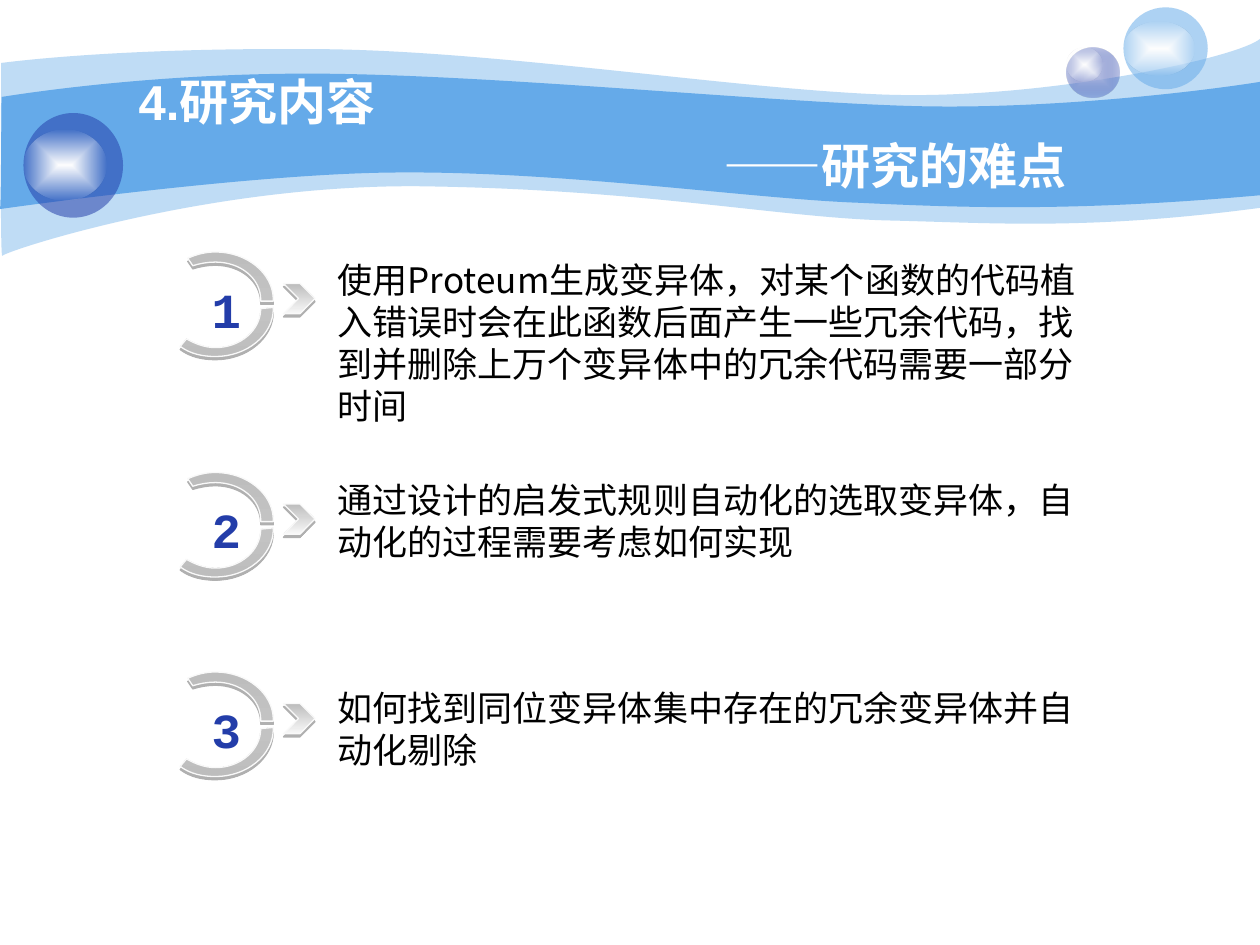
from lxml import etree
from pptx import Presentation
from pptx.dml.color import RGBColor
from pptx.enum.shapes import MSO_SHAPE
from pptx.enum.text import MSO_ANCHOR, MSO_AUTO_SIZE, PP_ALIGN
from pptx.oxml.ns import qn
from pptx.util import Pt

OVAL = MSO_SHAPE.OVAL
LEFT = PP_ALIGN.LEFT
TOP, MIDDLE = MSO_ANCHOR.TOP, MSO_ANCHOR.MIDDLE
NO_FIT = MSO_AUTO_SIZE.NONE
CJK = "Noto Sans CJK SC"

PALE_BAND = [
    (0.7, 36),
    (18, 33.8, 77.8, 27.4, 177.8, 28.1),
    (277.9, 28.1, 414.7, 50.4, 503.3, 54),
    (591.8, 57.6, 705.6, 33.8, 720, 22.3),
    (720, 118.8),
    (622.1, 131.8, 567.4, 127.4, 507.6, 126),
    (447.8, 124.6, 370.8, 108.7, 247.7, 106.6),
    (123.8, 103.7, 3.6, 143.3, 1.4, 146.2),
    (0, 149.8, 0.7, 54, 0.7, 36),
]
DEEP_BAND = [
    (1, 55.4),
    (2.2, 55.4, 79.9, 41.8, 179.3, 42.1),
    (278.6, 42.5, 429.1, 57.6, 517.3, 60.5),
    (605.5, 63.4, 702.7, 49.7, 720, 46.8),
    (720, 111.6),
    (614.2, 121, 551.5, 118.8, 491, 115.9),
    (431.3, 113.8, 322.6, 97.9, 229, 98.6),
    (146.9, 98.6, -0.7, 119.5, 0, 119.5),
    (0.7, 119.5, 0.7, 55.4, 1, 55.4),
]
UPPER_ARC = [
    (107.3, 3.6),
    (112.3, 1.4, 117.4, 0, 123.1, 0),
    (141.1, 0, 156.2, 12.2, 156.2, 27.4),
    (156.2, 28.1), (149, 28.1), (149, 27.4),
    (149, 15.1, 137.5, 5.8, 123.1, 5.8),
    (118.8, 5.8, 114.5, 6.5, 110.2, 7.9),
]
LOWER_ARC = [
    (103, 54),
    (108.7, 58.3, 115.9, 59.8, 123.1, 59.8),
    (141.1, 59.8, 156.2, 47.5, 156.2, 32.4),
    (156.2, 31.7), (149, 32.4),
    (149, 44.6, 137.5, 54.7, 123.1, 54.7),
    (117.4, 54.7, 111.6, 52.6, 106.6, 49.7),
]
CHEVRON = [(162, 18), (171.4, 18), (180, 26.6), (171.4, 35.3), (162, 35.3), (170.6, 26.6)]
UPPER_FRAME = [(90, 0), (156.2, 55.4)]
LOWER_FRAME = [(90, 5), (156.2, 60.4)]

BALLS = [
    ((609.7, 27.2, 30.2, 28.8), (609.7, 27.2, 20.2, 19.4), [("C7CEE9", 100), ("233DA9", 31)]),
    ((642, 4.2, 48.2, 46.8), (642, 12.2, 40.3, 31), [("65AAE9", 53)]),
    ((13.4, 64.6, 56.9, 59.8), (13.4, 74.2, 47.5, 40.3), [("233DA9", 53)]),
]
ITEMS = [
    (144, 144, 103.7, CJK, "使用Proteum生成变异体，对某个函数的代码植入错误时会在此函数后面产生一些冗余代码，找到并删除上万个变异体中的冗余代码需要一部分时间"),
    (270, 270, 55.4, "Arial", "通过设计的启发式规则自动化的选取变异体，自动化的过程需要考虑如何实现"),
    (384, 388.8, 55.4, "Arial", "如何找到同位变异体集中存在的冗余变异体并自动化剔除"),
]


def rgb(value):
    return RGBColor.from_string(value)


def set_alpha(parent, alpha):
    if alpha < 100:
        clr = next(parent.iter(qn("a:srgbClr")))
        etree.SubElement(clr, qn("a:alpha")).set("val", str(alpha * 1000))


def fill_shape(sp, stops, radial=True):
    sp.shadow.inherit = False
    sp.line.fill.background()
    if len(stops) == 1:
        sp.fill.solid()
        sp.fill.fore_color.rgb = rgb(stops[0][0])
        set_alpha(sp._element.spPr.find(qn("a:solidFill")), stops[0][1])
        return
    sp.fill.gradient()
    grad = sp._element.spPr.find(qn("a:gradFill"))
    marks = grad.findall(".//" + qn("a:gs"))
    for stop, mark, (color, alpha) in zip(sp.fill.gradient_stops, marks, stops):
        stop.color.rgb = rgb(color)
        set_alpha(mark, alpha)
    lin = grad.find(qn("a:lin"))
    if radial:
        shade = etree.Element(qn("a:path"), path="rect")
        etree.SubElement(shade, qn("a:fillToRect"), **dict.fromkeys("ltrb", "50000"))
        grad.replace(lin, shade)
    else:
        lin.set("ang", "5400000")


def join_curves(sp, segments):
    lines = iter(sp._element.spPr.findall(".//" + qn("a:lnTo")))
    for seg in segments[1:]:
        first = next(lines)
        if len(seg) == 6:
            first.tag = qn("a:cubicBezTo")
            for _ in range(2):
                line = next(lines)
                first.append(line[0])
                line.getparent().remove(line)


def add_outline(shapes, segments, stops, dy=0, frame=()):
    def place(x, y):
        return Pt(x), Pt(y + dy)

    points = [place(*seg[i:i + 2]) for seg in segments for i in range(0, len(seg), 2)]
    corners = [place(*corner) for corner in frame]
    starts = corners + points[:1]
    builder = shapes.build_freeform(*starts[0], scale=1.0)
    for start in starts[1:]:
        builder.move_to(*start)
    builder.add_line_segments(points[1:], close=True)
    sp = builder.convert_to_shape()
    for move in sp._element.spPr.findall(".//" + qn("a:moveTo"))[:-1]:
        move.getparent().remove(move)
    join_curves(sp, segments)
    fill_shape(sp, stops, radial=False)
    return sp


def add_metal(shapes, segments, dy, colors, frame=()):
    sp = add_outline(shapes, segments, [(color, 100) for color in colors], dy, frame)
    sp.line.color.rgb = rgb("F9F9F9")
    sp.line.width = Pt(0.75)
    effects = sp._element.spPr.find(qn("a:effectLst"))
    shadow = etree.SubElement(effects, qn("a:outerShdw"), dist=str(Pt(1.8)), dir="5400000")
    etree.SubElement(shadow, qn("a:srgbClr"), val="000000")
    set_alpha(shadow, 31)


def add_ball(shapes, outer, inner, stops):
    group = shapes.add_group_shape()
    glow = [("FFFFFF", 100), ("FFFFFF", 0)]
    for box, colors in ((outer, stops), (inner, glow)):
        fill_shape(group.shapes.add_shape(OVAL, *map(Pt, box)), colors)


def write(sp, lines, size, color, font="Arial", bold=False, anchor=TOP, pitch=None, tab=None):
    tf = sp.text_frame
    tf.word_wrap = True
    tf.auto_size = NO_FIT
    tf.vertical_anchor = anchor
    p = tf.paragraphs[0]
    p.alignment = LEFT
    p.space_before = Pt(0)
    if pitch:
        p.line_spacing = Pt(pitch)
    if tab:
        stops = etree.SubElement(p._p.get_or_add_pPr(), qn("a:tabLst"))
        etree.SubElement(stops, qn("a:tab"), pos=str(Pt(tab)), algn="l")
    for i, line in enumerate(lines):
        if i:
            p.add_line_break()
        r = p.add_run()
        r.text = line
        r.font.size = Pt(size)
        r.font.bold = bold
        r.font.name = font
        r.font.color.rgb = rgb(color)
        etree.SubElement(r._r.get_or_add_rPr(), qn("a:ea"), typeface=CJK)


def add_text(shapes, box, text, **style):
    write(shapes.add_textbox(*map(Pt, box)), [text], **style)


def add_item(shapes, number, top, text_top, height, font, text):
    ring = shapes.add_group_shape()
    add_metal(ring.shapes, UPPER_ARC, top, ("BDBDBD", "CCCCCC"), UPPER_FRAME)
    add_metal(ring.shapes, LOWER_ARC, top, ("CCCCCC", "BDBDBD"), LOWER_FRAME)
    add_metal(shapes, CHEVRON, top, ("BDBDBD", "F8F8F8"))
    add_text(shapes, (113.8, top + 12.2, 31, 41), str(number),
             size=28, color="233DA9", font="Courier New", bold=True)
    add_text(shapes, (185.8, text_top, 444.2, height), text,
             size=20, color="000000", font=font, pitch=24)


def add_title(slide):
    sp = slide.shapes.title
    sp._element.getparent().append(sp._element)
    sp.left, sp.top, sp.width, sp.height = map(Pt, (72, 63.4, 630, 26.6))
    write(sp, ["4.研究内容", "\t——研究的难点"], size=28, color="FFFFFF", bold=True,
          anchor=MIDDLE, pitch=36.8, tab=334.3)
    sp.text_frame.margin_bottom = Pt(8.2)


def main():
    prs = Presentation()
    prs.slide_width, prs.slide_height = Pt(720), Pt(540)
    slide = prs.slides.add_slide(prs.slide_layouts[5])
    shapes = slide.shapes
    add_outline(shapes, PALE_BAND, [("65AAE9", 41)])
    add_outline(shapes, DEEP_BAND, [("65AAE9", 100)])
    for ball in BALLS:
        add_ball(shapes, *ball)
    add_title(slide)
    for number, item in enumerate(ITEMS, 1):
        add_item(shapes, number, *item)
    prs.save("out.pptx")


if __name__ == "__main__":
    main()
